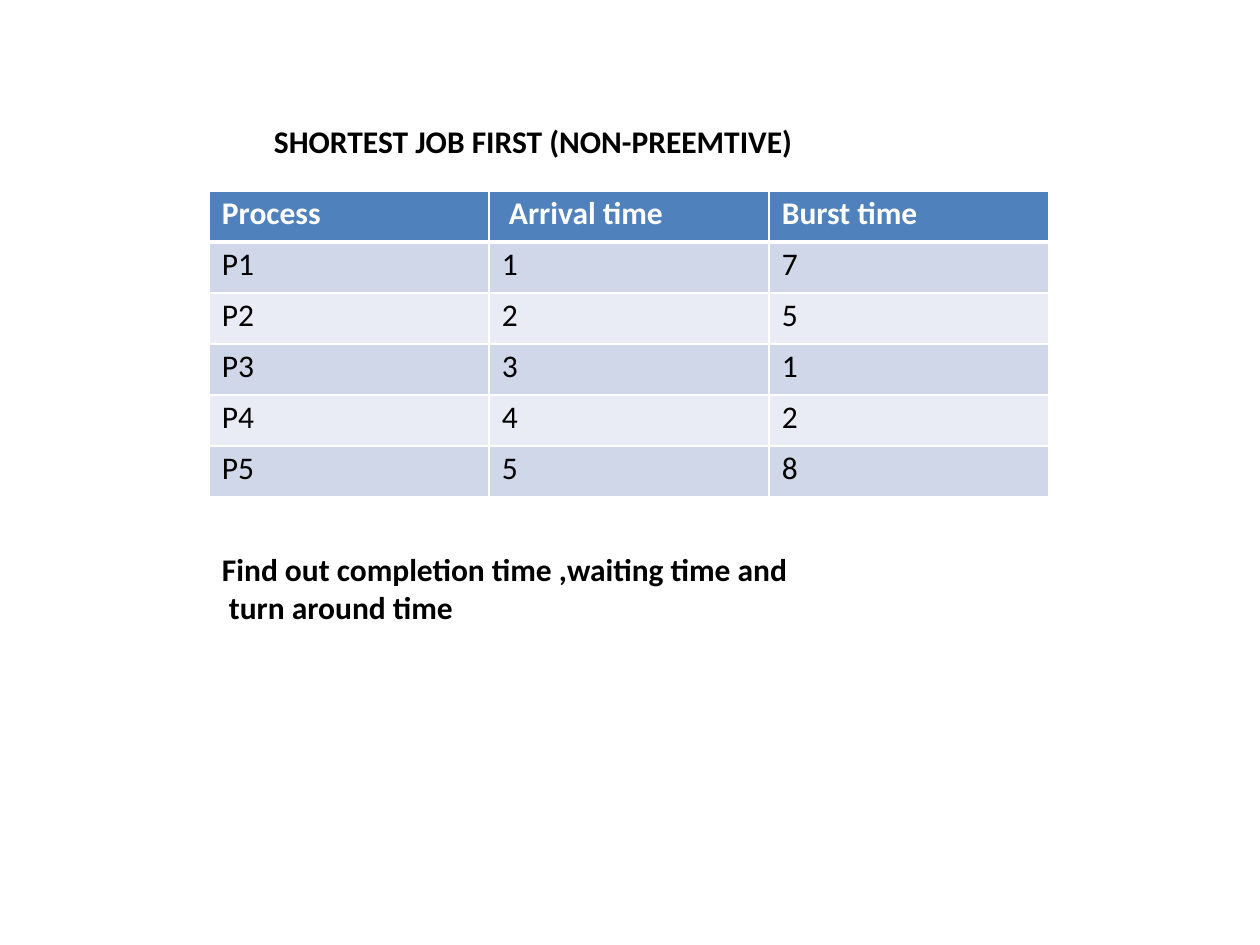
from pptx import Presentation
from pptx.dml.color import RGBColor
from pptx.oxml import parse_xml
from pptx.oxml.ns import nsdecls
from pptx.util import Emu, Pt

PX = 914400 // 126
BLACK = RGBColor(0x00, 0x00, 0x00)
WHITE = RGBColor(0xFF, 0xFF, 0xFF)
HEADER_BLUE = RGBColor(0x4F, 0x81, 0xBC)
BAND_DARK = RGBColor(0xD0, 0xD7, 0xE8)
BAND_LIGHT = RGBColor(0xE9, 0xEC, 0xF4)


def px(length):
    return Emu(length * PX)


def write_text(frame, text, color, bold, indent, hanging=0):
    paragraph = frame.paragraphs[0]
    properties = paragraph._p.get_or_add_pPr()
    properties.set("marL", str(px(indent)))
    properties.set("indent", str(px(-hanging)))
    run = paragraph.add_run()
    run.text = text
    for name, value in {"name": "Calibri", "size": Pt(18), "bold": bold}.items():
        setattr(run.font, name, value)
    run.font.color.rgb = color


presentation = Presentation()
presentation.slide_width = px(1260)
presentation.slide_height = px(945)
slide = presentation.slides.add_slide(presentation.slide_layouts[6])

# Process table
rows = [
    ("Process", "Arrival time", "Burst time"),
    ("P1", "1", "7"),
    ("P2", "2", "5"),
    ("P3", "3", "1"),
    ("P4", "4", "2"),
    ("P5", "5", "8"),
]
column_width, row_height = 280, 51
table = slide.shapes.add_table(
    len(rows), 3, px(209), px(191), px(3 * column_width), px(len(rows) * row_height)
).table
for column in table.columns:
    column.width = px(column_width)

for row_index, values in enumerate(rows):
    table.rows[row_index].height = px(row_height)
    is_header = row_index == 0
    fill_color = HEADER_BLUE if is_header else (BAND_LIGHT, BAND_DARK)[row_index % 2]
    for column_index, value in enumerate(values):
        cell = table.cell(row_index, column_index)
        margins = {"margin_left": 0, "margin_top": px(4), "margin_right": 0, "margin_bottom": 0}
        for name, margin in margins.items():
            setattr(cell, name, margin)
        indent = 20 if is_header and column_index == 1 else 13
        write_text(cell.text_frame, value, WHITE if is_header else BLACK, is_header, indent)

        # White borders, thicker under the header
        border_points = {"L": 1, "R": 1, "T": 3 if row_index == 1 else 1, "B": 3 if is_header else 1}
        cell_properties = cell._tc.get_or_add_tcPr()
        for side, points in border_points.items():
            cell_properties.append(parse_xml(
                f'<a:ln{side} {nsdecls("a")} w="{Pt(points)}"><a:solidFill>'
                f'<a:srgbClr val="{WHITE}"/></a:solidFill></a:ln{side}>'
            ))
        cell.fill.solid()
        cell.fill.fore_color.rgb = fill_color

# Title and task
text_boxes = [
    ("SHORTEST JOB FIRST (NON-PREEMTIVE)", (273, 120, 523, 42), 1, 0),
    ("Find out completion time ,waiting time and turn around time", (221, 548, 577, 79), 8, 7),
]
for text, position, indent, hanging in text_boxes:
    frame = slide.shapes.add_textbox(*map(px, position)).text_frame
    settings = {
        "word_wrap": True,
        "margin_left": 0,
        "margin_top": px(2),
        "margin_right": 0,
        "margin_bottom": 0,
    }
    for name, value in settings.items():
        setattr(frame, name, value)
    write_text(frame, text, BLACK, True, indent, hanging)

presentation.save("out.pptx")
